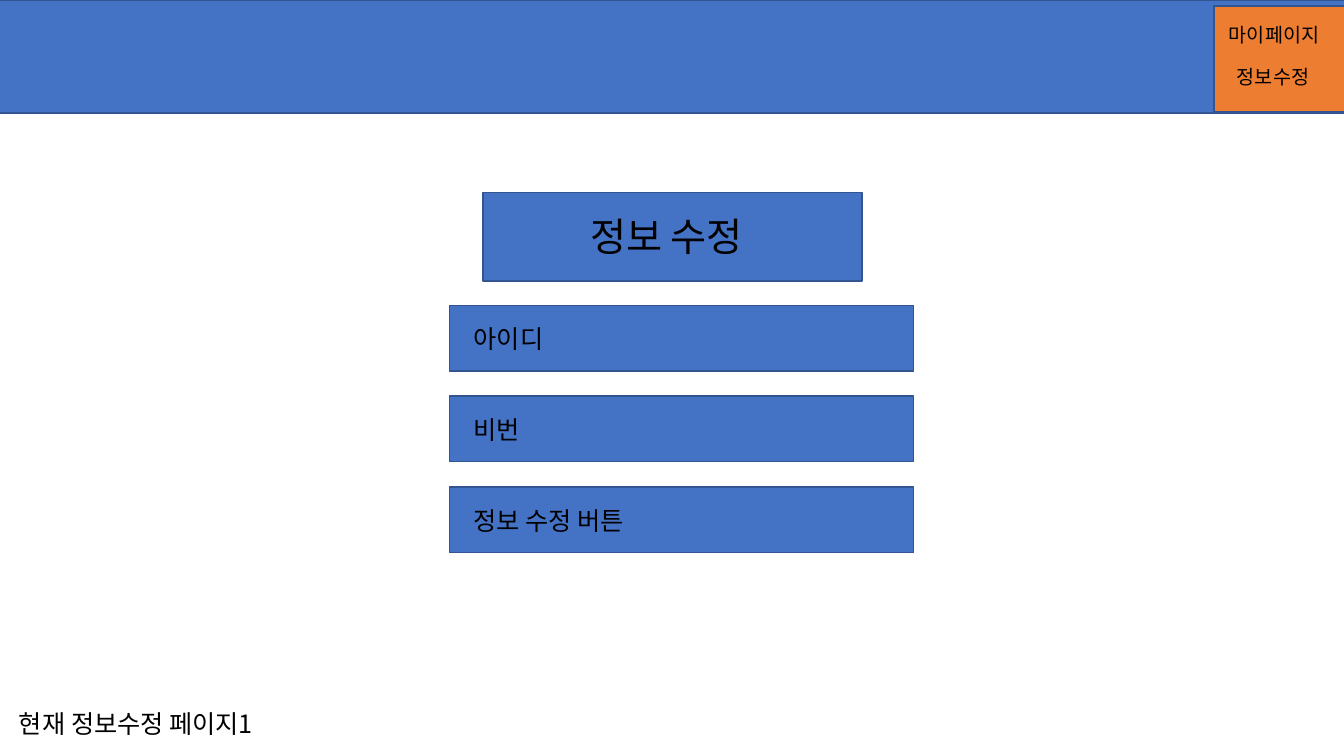
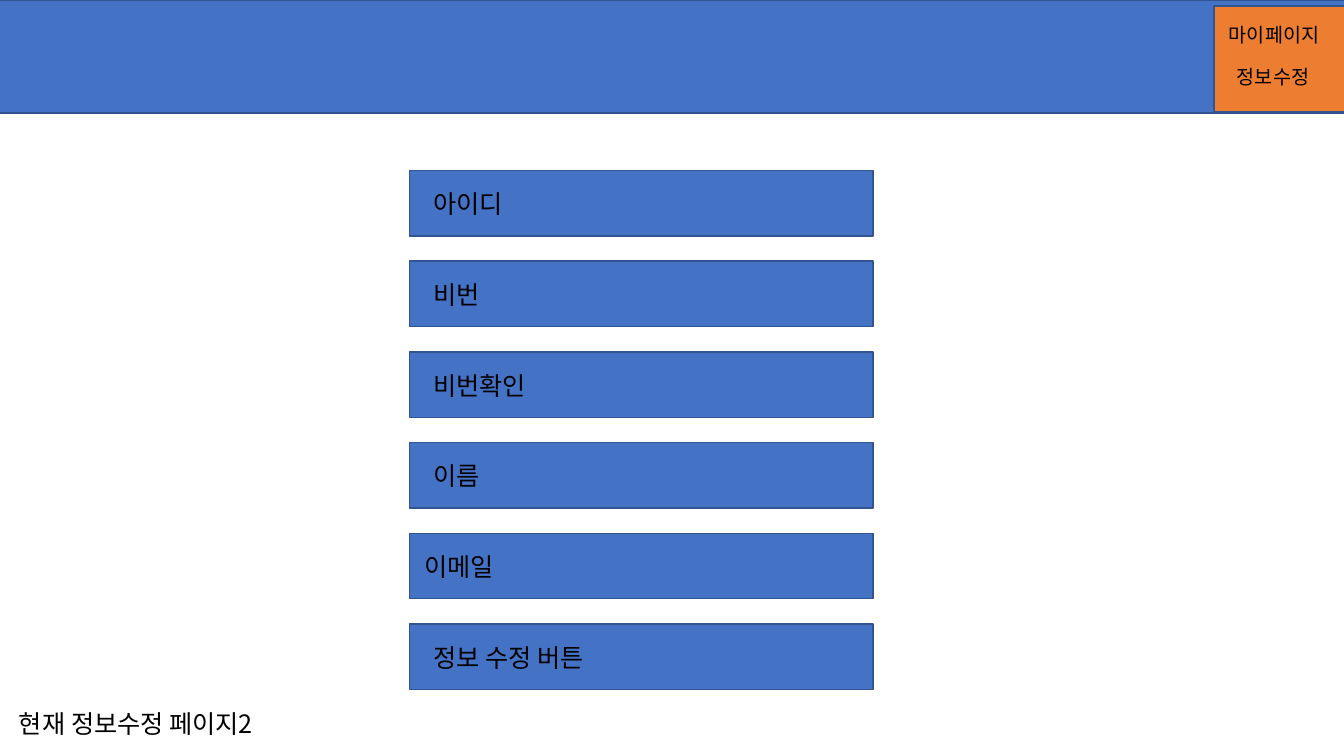
import pptx
import pptx.util
import pptx.dml.color
import pptx.enum.shapes
import pptx.enum.text
import lxml.etree
from pptx.oxml.ns import qn

Inches = pptx.util.Inches

COLORS = {"blue": "4472C4", "orange": "ED7D31", "edge": "325491", "text": "000000"}
FONT = "Noto Sans CJK KR"

HEADER = (-0.14, 0, 13.61, 1.12)
MENU = (12.04, 0.06, 1.32, 1.05)
MENU_ITEMS = [("마이페이지", (12.09, 0.18, 1.28, 0.34)),
              ("정보수정", (12.17, 0.59, 1.2, 0.34))]
CAPTION = (0.09, 6.98, 3.33, 0.4)
TITLE_BAND = (4.79, 1.91, 3.76, 0.88)
TITLE = (4.97, 2.06, 3.28, 0.57)
FIELD_W, FIELD_H, FIELD_PITCH = 4.6, 0.65, 0.9
LABEL_W, LABEL_H, LABEL_DROP = 2.25, 0.4, 0.13
INDENT, EMAIL_INDENT = 0.14, 0.05

PAGES = [
    {"caption": "현재 정보수정 페이지1", "title": "정보 수정", "origin": (4.46, 3.03),
     "fields": [("아이디", INDENT), ("비번", INDENT), ("정보 수정 버튼", INDENT)]},
    {"caption": "현재 정보수정 페이지2", "title": None, "origin": (4.06, 1.69),
     "fields": [("아이디", INDENT), ("비번", INDENT), ("비번확인", INDENT),
                ("이름", INDENT), ("이메일", EMAIL_INDENT), ("정보 수정 버튼", INDENT)]},
]


def rgb(name):
    """Return a palette colour."""
    return pptx.dml.color.RGBColor.from_string(COLORS[name])


def add_box(s, box, color="blue"):
    """Add an outlined rectangle."""
    sp = s.shapes.add_shape(pptx.enum.shapes.MSO_SHAPE.RECTANGLE, *map(Inches, box))
    sp.shadow.inherit = False
    sp.fill.solid()
    sp.fill.fore_color.rgb = rgb(color)
    sp.line.color.rgb = rgb("edge")
    sp.line.width = pptx.util.Pt(1)


def write(sp, text, size, align=pptx.enum.text.PP_ALIGN.LEFT):
    """Fill a text shape with one top-anchored line."""
    tf = sp.text_frame
    tf.word_wrap = True
    tf.auto_size = pptx.enum.text.MSO_AUTO_SIZE.SHAPE_TO_FIT_TEXT
    tf.vertical_anchor = pptx.enum.text.MSO_ANCHOR.TOP
    p = tf.paragraphs[0]
    p.alignment = align
    r = p.add_run()
    r.text = text
    r.font.size = pptx.util.Pt(size)
    r.font.name = FONT
    r.font.color.rgb = rgb("text")
    lxml.etree.SubElement(r.font._element, qn("a:ea"), typeface=FONT)


def add_label(s, text, box, size=18):
    """Add a left-aligned text box."""
    write(s.shapes.add_textbox(*map(Inches, box)), text, size)


def add_title(s, text):
    """Set the title placeholder on top of its band."""
    add_box(s, TITLE_BAND)
    sp = s.shapes.title
    sp.left, sp.top, sp.width, sp.height = map(Inches, TITLE)
    write(sp, text, 28, pptx.enum.text.PP_ALIGN.CENTER)
    s.shapes._spTree.append(sp._element)


def add_page(prs, page):
    """Build one page with its header, menu, fields and caption."""
    layout = "Title Only" if page["title"] else "Blank"
    s = prs.slides.add_slide(prs.slide_layouts.get_by_name(layout))
    add_box(s, HEADER)
    add_label(s, page["caption"], CAPTION)
    if page["title"]:
        add_title(s, page["title"])
    left, first_top = page["origin"]
    for i, (text, indent) in enumerate(page["fields"]):
        top = first_top + i * FIELD_PITCH
        add_box(s, (left, top, FIELD_W, FIELD_H))
        add_label(s, text, (left + indent, top + LABEL_DROP, LABEL_W, LABEL_H))
    add_box(s, MENU, "orange")
    for text, box in MENU_ITEMS:
        add_label(s, text, box, 14)


prs = pptx.Presentation()
prs.slide_width, prs.slide_height = Inches(13.33), Inches(7.5)
for page in PAGES:
    add_page(prs, page)
prs.save("out.pptx")
